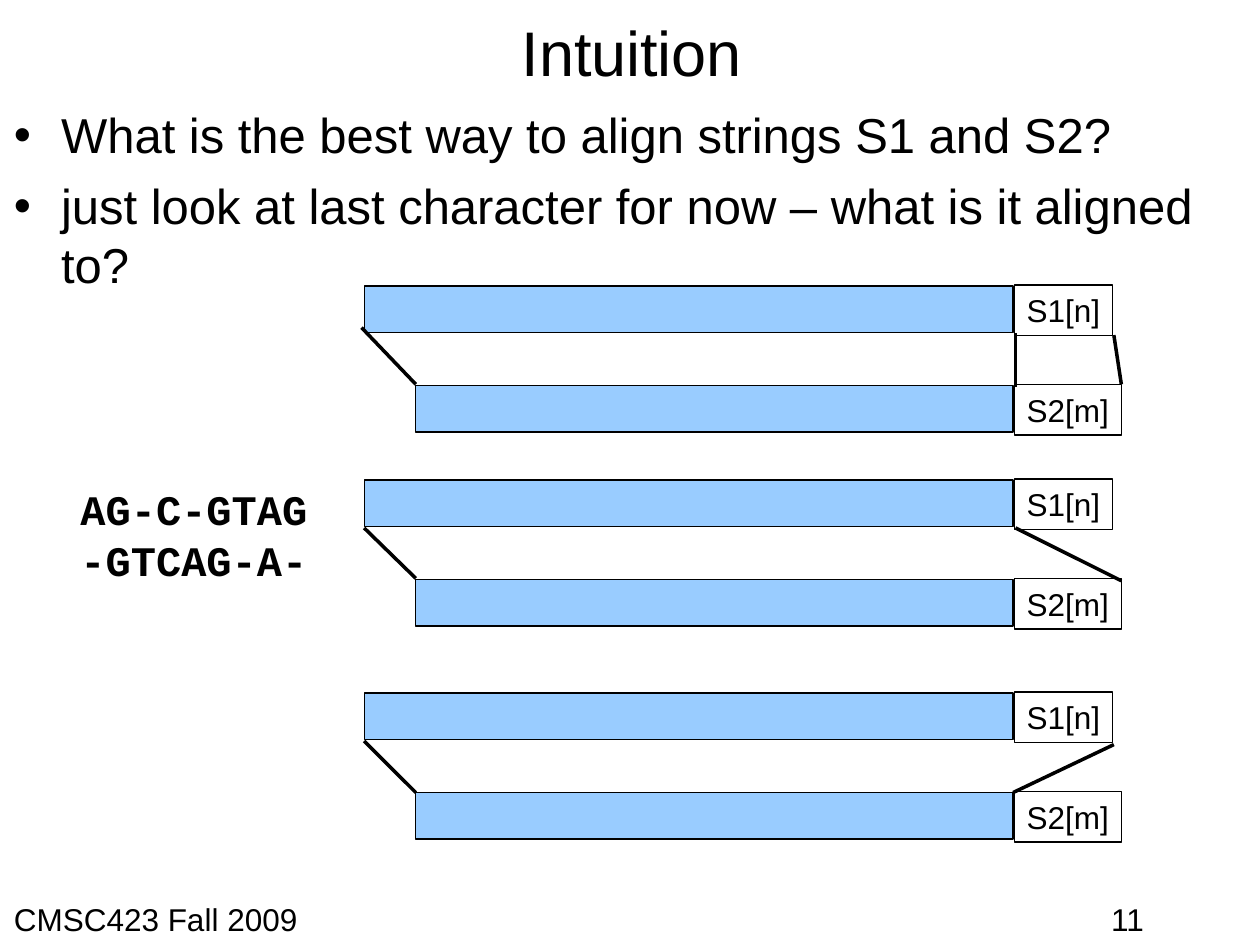
from lxml.etree import SubElement
from pptx import Presentation
from pptx.dml.color import RGBColor
from pptx.enum.shapes import MSO_CONNECTOR, MSO_SHAPE
from pptx.enum.text import MSO_ANCHOR, PP_ALIGN
from pptx.oxml.ns import qn
from pptx.util import Pt

BLACK = RGBColor(0x00, 0x00, 0x00)
SKY_BLUE = RGBColor(0x99, 0xCC, 0xFF)

BAR_HEIGHT = 26.6
LABEL_LEFT = 579.6
LABEL_HEIGHT = 28.8
ROW_GAP = 56.9
STRINGS = [("S1[n]", 208.1, 370.8, 56.2), ("S2[m]", 237.6, 341.3, 61.2)]

ALIGNMENTS = [
    (163.4, [(640.8, 56.2, 636.5, 28.1), (580.3, 57.6, 580.3, 26.7),
             (237.6, 56.2, 206.6, 23.8)]),
    (274.3, [(640.8, 57.6, 580.3, 27.4), (237.6, 56.2, 208.1, 27.4)]),
    (396, [(578.9, 56.9, 636.5, 29.5), (237.6, 56.9, 208.1, 27.4)]),
]


def fill_text(text_frame, text, size, font="Arial", bold=False, margins=(0, 0)):
    text_frame.margin_left = text_frame.margin_right = Pt(margins[0])
    text_frame.margin_top = text_frame.margin_bottom = Pt(margins[1])
    text_frame.text = text
    for paragraph in text_frame.paragraphs:
        paragraph.alignment = PP_ALIGN.LEFT
        for run in paragraph.runs:
            run.font.size = Pt(size)
            run.font.name = font
            run.font.bold = bold
            run.font.color.rgb = BLACK


def add_text(slide, box, text, size, **style):
    text_frame = slide.shapes.add_textbox(*map(Pt, box)).text_frame
    text_frame.word_wrap = True
    fill_text(text_frame, text, size, **style)
    return text_frame


def add_title(slide, text):
    text_frame = add_text(slide, (9.4, 4.3, 703.4, 50.4), text, 36)
    text_frame.vertical_anchor = MSO_ANCHOR.MIDDLE
    text_frame.paragraphs[0].alignment = PP_ALIGN.CENTER


def add_bullets(slide, items):
    text_frame = add_text(slide, (7.9, 59.8, 704.2, 454.3), "\n".join(items), 28)
    for paragraph in text_frame.paragraphs:
        paragraph.space_before = Pt(7)
        properties = paragraph._p.get_or_add_pPr()
        properties.set("marL", str(Pt(27)))
        properties.set("indent", str(Pt(-27)))
        SubElement(properties, qn("a:buFont"), typeface="Arial")
        SubElement(properties, qn("a:buChar"), char="•")


def add_rectangle(slide, left, top, width, height):
    shape = slide.shapes.add_shape(
        MSO_SHAPE.RECTANGLE, Pt(left), Pt(top), Pt(width), Pt(height))
    shape.shadow.inherit = False
    shape.line.color.rgb = BLACK
    shape.line.width = Pt(0)
    return shape


def add_string(slide, top, name, left, width, label_width):
    bar = add_rectangle(slide, left, top, width, BAR_HEIGHT)
    bar.fill.solid()
    bar.fill.fore_color.rgb = SKY_BLUE
    label = add_rectangle(slide, LABEL_LEFT, top - 0.5, label_width, LABEL_HEIGHT)
    label.fill.background()
    label.text_frame.word_wrap = False
    label.text_frame.vertical_anchor = MSO_ANCHOR.TOP
    fill_text(label.text_frame, name, 18, margins=(7.2, 3.6))


def add_link(slide, start_x, start_y, end_x, end_y):
    connector = slide.shapes.add_connector(
        MSO_CONNECTOR.STRAIGHT, Pt(start_x), Pt(start_y), Pt(end_x), Pt(end_y))
    connector.line.color.rgb = BLACK
    connector.line.width = Pt(0)
    SubElement(connector._element.spPr, qn("a:effectLst"))


def add_alignment(slide, top, links):
    for row, string in enumerate(STRINGS):
        add_string(slide, top + row * ROW_GAP, *string)
    for lower_x, lower_y, upper_x, upper_y in links:
        add_link(slide, lower_x, top + lower_y, upper_x, top + upper_y)


def main():
    presentation = Presentation()
    presentation.slide_width = Pt(720)
    presentation.slide_height = Pt(540)
    slide = presentation.slides.add_slide(presentation.slide_layouts[6])
    add_title(slide, "Intuition")
    add_bullets(slide, [
        "What is the best way to align strings S1 and S2?",
        "just look at last character for now – what is it aligned to?",
    ])
    for top, links in ALIGNMENTS:
        add_alignment(slide, top, links)
    add_text(slide, (38.9, 272.9, 144, 64.8), "AG-C-GTAG\n-GTCAG-A-", 24,
             font="Courier New", bold=True, margins=(7.2, 3.6))
    add_text(slide, (7.9, 514.1, 627.1, 25.9), "CMSC423 Fall 2009", 18)
    add_text(slide, (635, 514.1, 77.8, 25.9), "11", 18)
    presentation.save("out.pptx")


if __name__ == "__main__":
    main()
